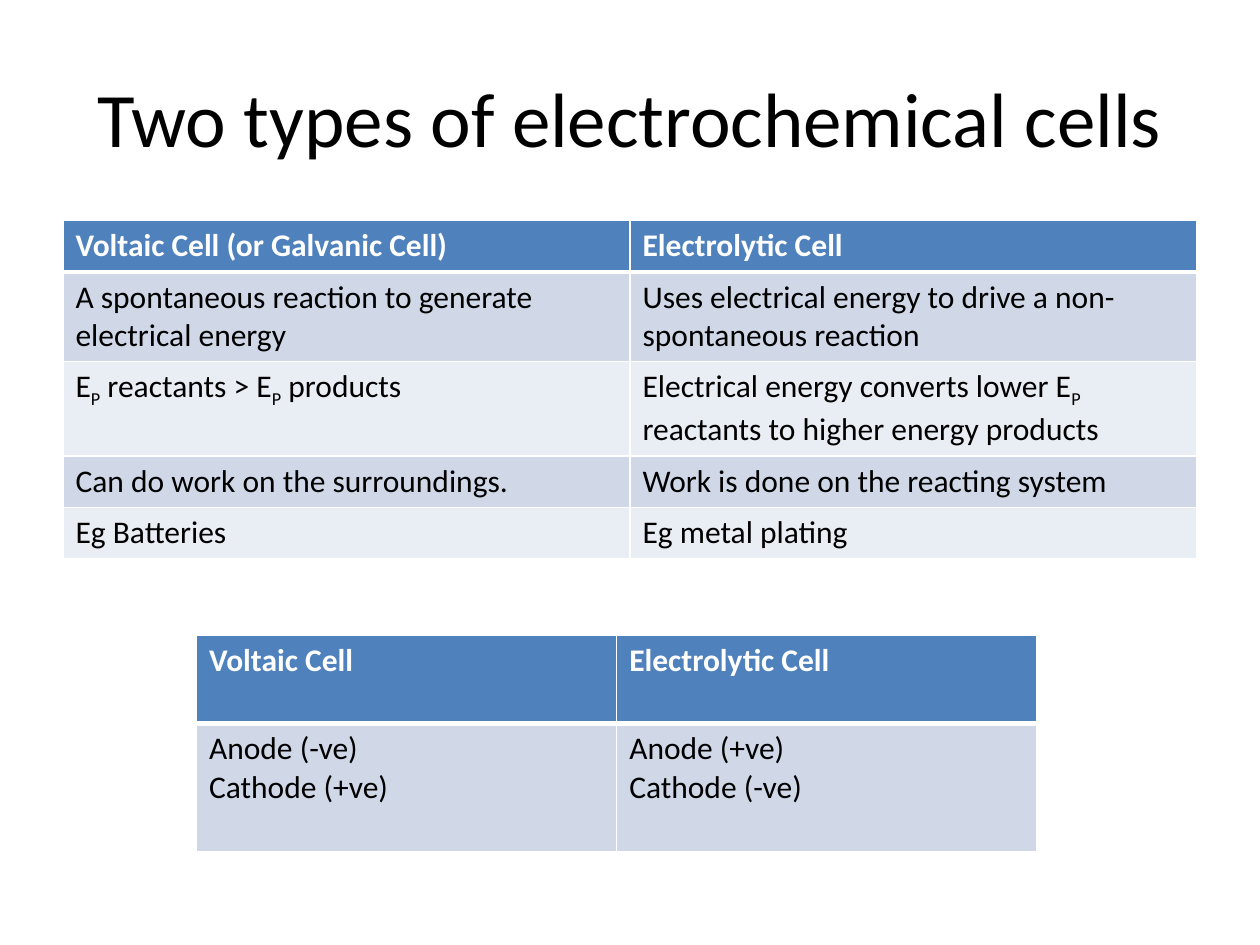
from lxml.etree import SubElement
from pptx import Presentation
from pptx.dml.color import RGBColor
from pptx.enum.text import MSO_ANCHOR, PP_ALIGN
from pptx.oxml.ns import qn
from pptx.util import Inches, Pt

FONT = "Calibri"
BLACK = RGBColor(0x00, 0x00, 0x00)
WHITE = RGBColor(0xFF, 0xFF, 0xFF)
HEADER_BLUE = RGBColor(0x4F, 0x81, 0xBD)
BANDS = (RGBColor(0xD0, 0xD8, 0xE8), RGBColor(0xE9, 0xED, 0xF4))
SUBSCRIPT_MARK = "_P"

CELL_TYPES = [
    ("Voltaic Cell (or Galvanic Cell)", "Electrolytic Cell"),
    ("A spontaneous reaction to generate electrical energy",
     "Uses electrical energy to drive a non-spontaneous reaction"),
    ("E_P reactants > E_P products",
     "Electrical energy converts lower E_P reactants to higher energy products"),
    ("Can do work on the surroundings.", "Work is done on the reacting system"),
    ("Eg Batteries", "Eg metal plating"),
]
ELECTRODES = [
    ("Voltaic Cell", "Electrolytic Cell"),
    ("Anode (-ve)\nCathode (+ve)", "Anode (+ve)\nCathode (-ve)"),
]


def add_title(page, text, left, top, width, height):
    title = page.shapes.title
    title.left, title.top = Inches(left), Inches(top)
    title.width, title.height = Inches(width), Inches(height)
    frame = title.text_frame
    frame.text = text
    frame.vertical_anchor = MSO_ANCHOR.MIDDLE
    para = frame.paragraphs[0]
    para.alignment = PP_ALIGN.CENTER
    font = para.runs[0].font
    font.name, font.size, font.color.rgb = FONT, Pt(44), BLACK


def set_borders(cell, bottom_width, top_width):
    properties = cell._tc.get_or_add_tcPr()
    widths = {"a:lnL": 1, "a:lnR": 1, "a:lnT": top_width, "a:lnB": bottom_width}
    for tag, width in widths.items():
        line = SubElement(properties, qn(tag), w=str(Pt(width)))
        fill = SubElement(line, qn("a:solidFill"))
        SubElement(fill, qn("a:srgbClr"), val=str(WHITE))


def add_span(para, text, is_header, subscript=False):
    span = para.add_run()
    span.text = text
    font = span.font
    font.name, font.size, font.bold = FONT, Pt(18), is_header
    font.color.rgb = WHITE if is_header else BLACK
    if subscript:
        span._r.get_or_add_rPr().set("baseline", "-25000")


def fill_cell(cell, text, row_index):
    """Write one cell; each SUBSCRIPT_MARK becomes a lowered P."""
    is_header = row_index == 0
    set_borders(cell, 3 if is_header else 1, 3 if row_index == 1 else 1)
    cell.fill.solid()
    cell.fill.fore_color.rgb = HEADER_BLUE if is_header else BANDS[(row_index - 1) % 2]
    frame = cell.text_frame
    for index, line in enumerate(text.split("\n")):
        para = frame.add_paragraph() if index else frame.paragraphs[0]
        for part_index, part in enumerate(line.split(SUBSCRIPT_MARK)):
            if part_index:
                add_span(para, "P", is_header, subscript=True)
            add_span(para, part, is_header)


def add_comparison(page, rows, left, top, width, row_heights):
    frame = page.shapes.add_table(
        len(rows), len(rows[0]), Inches(left), Inches(top),
        Inches(width), Inches(sum(row_heights)))
    table = frame.table
    for row_index, (texts, height) in enumerate(zip(rows, row_heights)):
        table.rows[row_index].height = Inches(height)
        for column_index, text in enumerate(texts):
            fill_cell(table.cell(row_index, column_index), text, row_index)


def main():
    deck = Presentation()
    deck.slide_width, deck.slide_height = Inches(10), Inches(7.5)
    page = deck.slides.add_slide(deck.slide_layouts[5])
    add_title(page, "Two types of electrochemical cells", 0.5, 0.3, 9, 1.25)
    add_comparison(page, CELL_TYPES, 0.5, 1.75, 9, (0.41, 0.7, 0.75, 0.4, 0.4))
    add_comparison(page, ELECTRODES, 1.56, 5.04, 6.67, (0.7, 1.02))
    deck.save("out.pptx")


if __name__ == "__main__":
    main()
